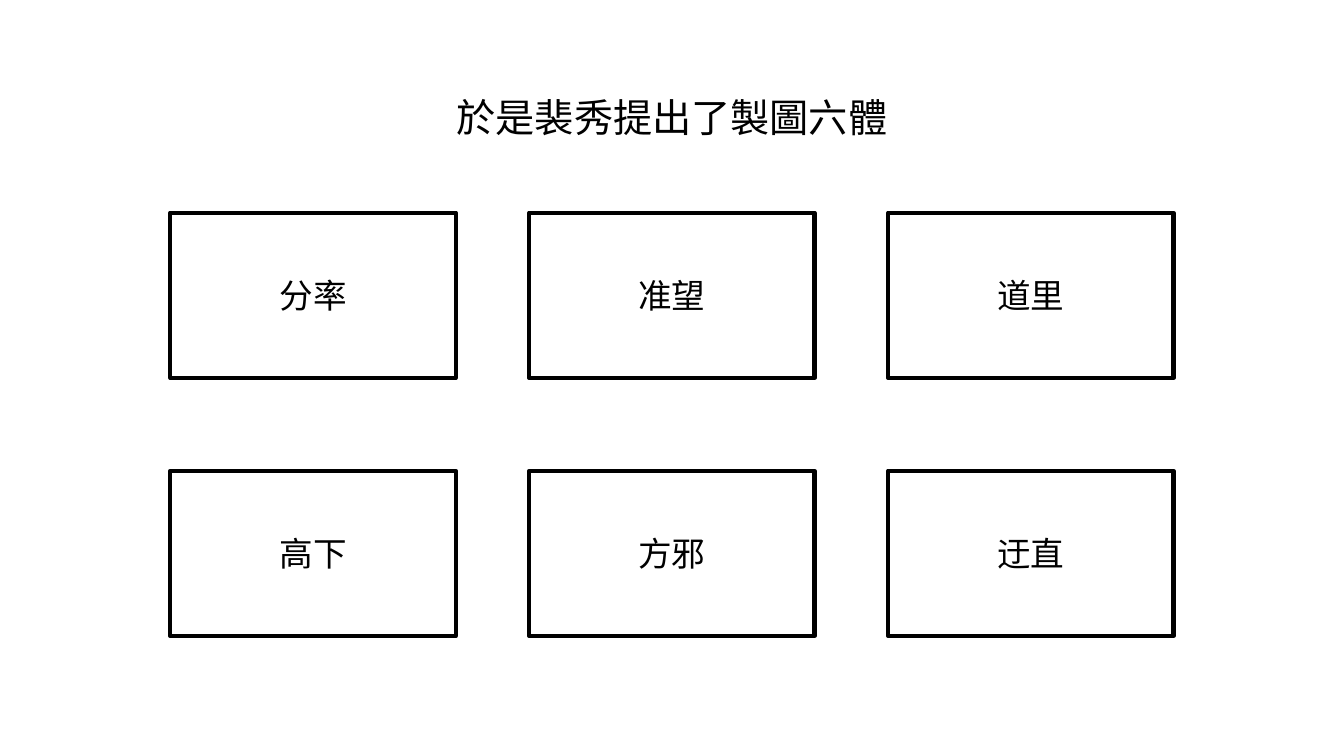
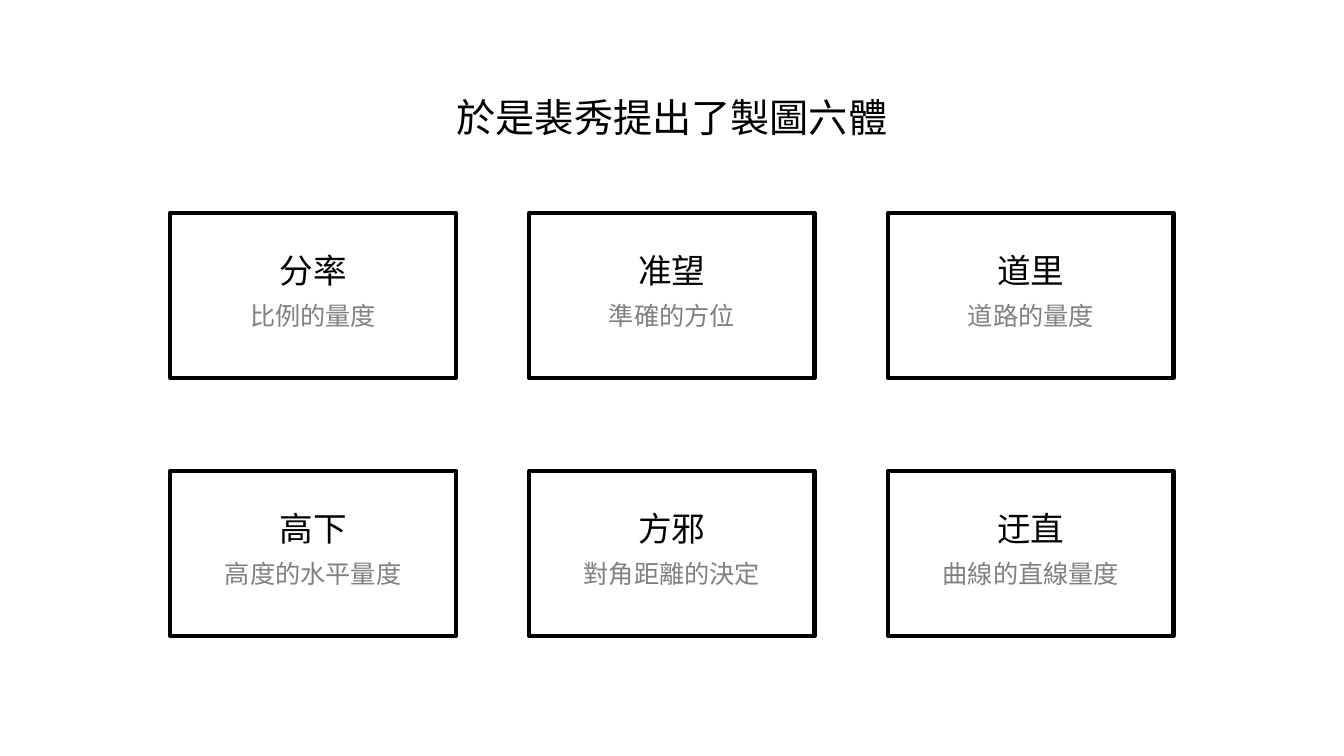
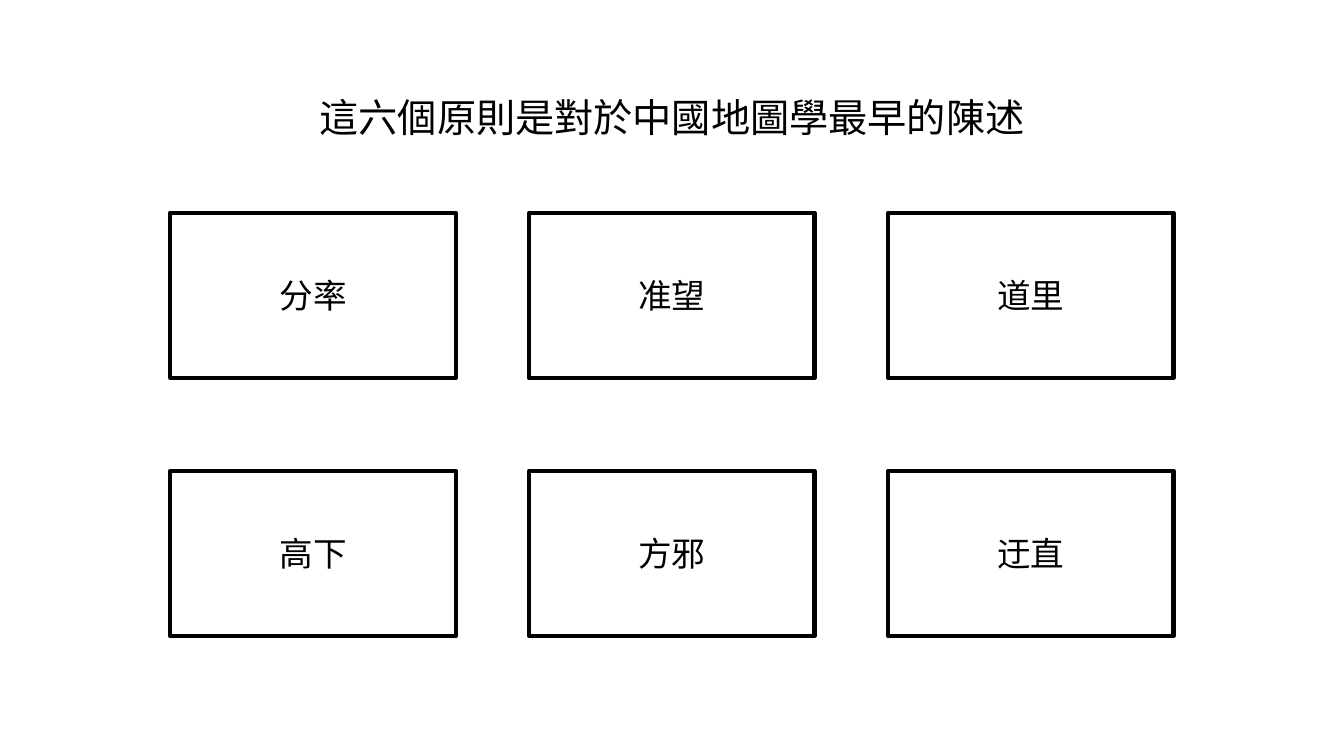
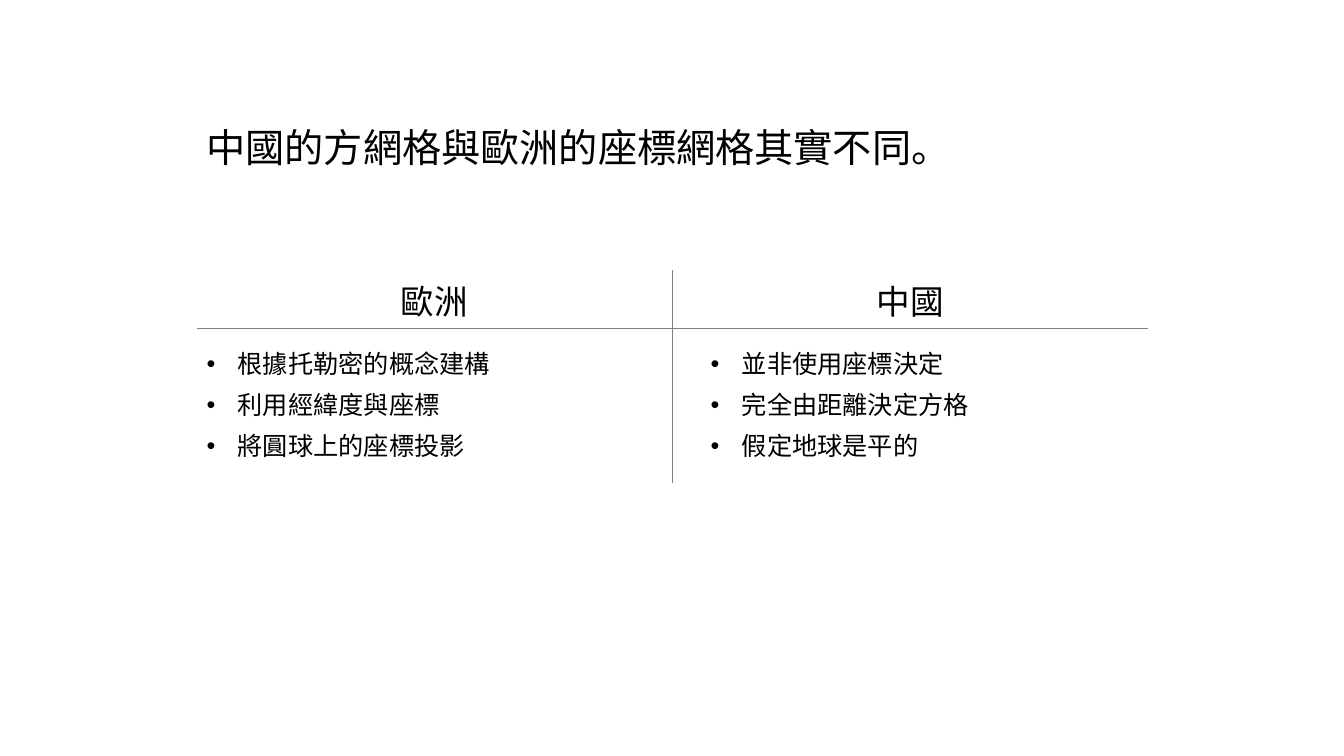
import dataclasses

import lxml.etree
import pptx
import pptx.dml.color
import pptx.enum.shapes
import pptx.enum.text
import pptx.oxml.ns
import pptx.util

Inches, Pt = pptx.util.Inches, pptx.util.Pt
RGB = pptx.dml.color.RGBColor.from_string
ALIGN = pptx.enum.text.PP_ALIGN
qn = pptx.oxml.ns.qn


@dataclasses.dataclass(frozen=True)
class Theme:
    font: str = "Lato"
    ink: str = "000000"
    paper: str = "FFFFFF"
    grey: str = "808080"
    title: int = 28
    heading: int = 24
    body: int = 18
    frame: int = 3
    rule: int = 1


THEME = Theme()

# Grid of the six principles
COLS = 3
LEFT, TOP = 1.69, 2.11
BOX_W, BOX_H = 2.83, 1.64
STEP_X, STEP_Y = 3.56, 2.56
LABEL_W, CAPTION_W = 1.13, 2.37

PRINCIPLES = [
    ("分率", "比例的量度"),
    ("准望", "準確的方位"),
    ("道里", "道路的量度"),
    ("高下", "高度的水平量度"),
    ("方邪", "對角距離的決定"),
    ("迂直", "曲線的直線量度"),
]

# Comparison table: heading and points of each column
TABLE_X, TABLE_Y = 1.95, 2.68
COL_W, ROW_H = 4.72, (0.58, 1.53)
COMPARISON = [
    ("歐洲", 1.95, ["根據托勒密的概念建構", "利用經緯度與座標", "將圓球上的座標投影"]),
    ("中國", 6.95, ["並非使用座標決定", "完全由距離決定方格", "假定地球是平的"]),
]
POINT_Y, POINT_STEP, POINT_INDENT = 3.41, 0.405, 0.31


def write(tf, text, size=THEME.body, color=THEME.ink, align=ALIGN.LEFT, bullet=False):
    """Put one formatted paragraph into a text frame."""
    p = tf.paragraphs[0]
    p.alignment = align
    r = p.add_run()
    r.text = text
    r.font.name = THEME.font
    r.font.size = Pt(size)
    r.font.color.rgb = RGB(color)
    if bullet:
        pPr = p._p.get_or_add_pPr()
        pPr.set("marL", str(Inches(POINT_INDENT)))
        pPr.set("indent", str(-Inches(POINT_INDENT)))
        lxml.etree.SubElement(pPr, qn("a:buFont")).set("typeface", "Arial")
        lxml.etree.SubElement(pPr, qn("a:buChar")).set("char", "•")


def add_text(s, text, x, y, w, h, **fmt):
    tf = s.shapes.add_textbox(Inches(x), Inches(y), Inches(w), Inches(h)).text_frame
    tf.word_wrap = True
    tf.auto_size = pptx.enum.text.MSO_AUTO_SIZE.SHAPE_TO_FIT_TEXT
    write(tf, text, **fmt)


def add_box(s, x, y):
    sp = s.shapes.add_shape(pptx.enum.shapes.MSO_SHAPE.RECTANGLE,
                            Inches(x), Inches(y), Inches(BOX_W), Inches(BOX_H))
    sp.shadow.inherit = False
    sp.fill.solid()
    sp.fill.fore_color.rgb = RGB(THEME.paper)
    sp.line.color.rgb = RGB(THEME.ink)
    sp.line.width = Pt(THEME.frame)


def set_borders(cell, sides):
    """Rule the given sides (of L, R, T, B) and clear the others."""
    tcPr = cell._tc.get_or_add_tcPr()
    for i, side in enumerate("LRTB"):
        ln = lxml.etree.Element(qn("a:ln" + side))
        if side in sides:
            ln.set("w", str(Pt(THEME.rule)))
            fill = lxml.etree.SubElement(ln, qn("a:solidFill"))
            lxml.etree.SubElement(fill, qn("a:srgbClr")).set("val", THEME.grey)
        else:
            lxml.etree.SubElement(ln, qn("a:noFill"))
        tcPr.insert(i, ln)


def add_principles_slide(prs, title, captions=False):
    s = prs.slides.add_slide(prs.slide_layouts[6])
    add_text(s, title, 2.28, 0.88, 8.77, 0.57, size=THEME.title, align=ALIGN.CENTER)
    for i, (name, caption) in enumerate(PRINCIPLES):
        row, col = divmod(i, COLS)
        x, y = LEFT + col * STEP_X, TOP + row * STEP_Y
        add_box(s, x, y)
        add_text(s, name, x + (BOX_W - LABEL_W) / 2, y + (0.32 if captions else 0.57),
                 LABEL_W, 0.5, size=THEME.heading, align=ALIGN.CENTER)
        if captions:
            add_text(s, caption, x + (BOX_W - CAPTION_W) / 2, y + 0.82,
                     CAPTION_W, 0.4, color=THEME.grey, align=ALIGN.CENTER)


def add_comparison_slide(prs, title):
    s = prs.slides.add_slide(prs.slide_layouts[6])
    width = COL_W * len(COMPARISON)
    add_text(s, title, TABLE_X, 1.17, width, 0.57, size=THEME.title)

    # Ruled table with the two headings
    table = s.shapes.add_table(len(ROW_H), len(COMPARISON), Inches(TABLE_X), Inches(TABLE_Y),
                               Inches(width), Inches(sum(ROW_H))).table
    table.first_row = table.horz_banding = False
    for row, h in zip(table.rows, ROW_H):
        row.height = Inches(h)
    for c, (heading, x, points) in enumerate(COMPARISON):
        table.columns[c].width = Inches(COL_W)
        for r, inner in enumerate("BT"):
            cell = table.cell(r, c)
            cell.fill.background()
            set_borders(cell, inner + "RL"[c])
        write(table.cell(0, c).text_frame, heading, size=THEME.heading, align=ALIGN.CENTER)

        # Points under the heading
        for i, point in enumerate(points):
            add_text(s, point, x, POINT_Y + i * POINT_STEP, 3.52, 0.4, bullet=True)


def main():
    prs = pptx.Presentation()
    prs.slide_width, prs.slide_height = Inches(13.33), Inches(7.5)
    add_principles_slide(prs, "於是裴秀提出了製圖六體")
    add_principles_slide(prs, "於是裴秀提出了製圖六體", captions=True)
    add_principles_slide(prs, "這六個原則是對於中國地圖學最早的陳述")
    add_comparison_slide(prs, "中國的方網格與歐洲的座標網格其實不同。")
    prs.save("out.pptx")


if __name__ == "__main__":
    main()
